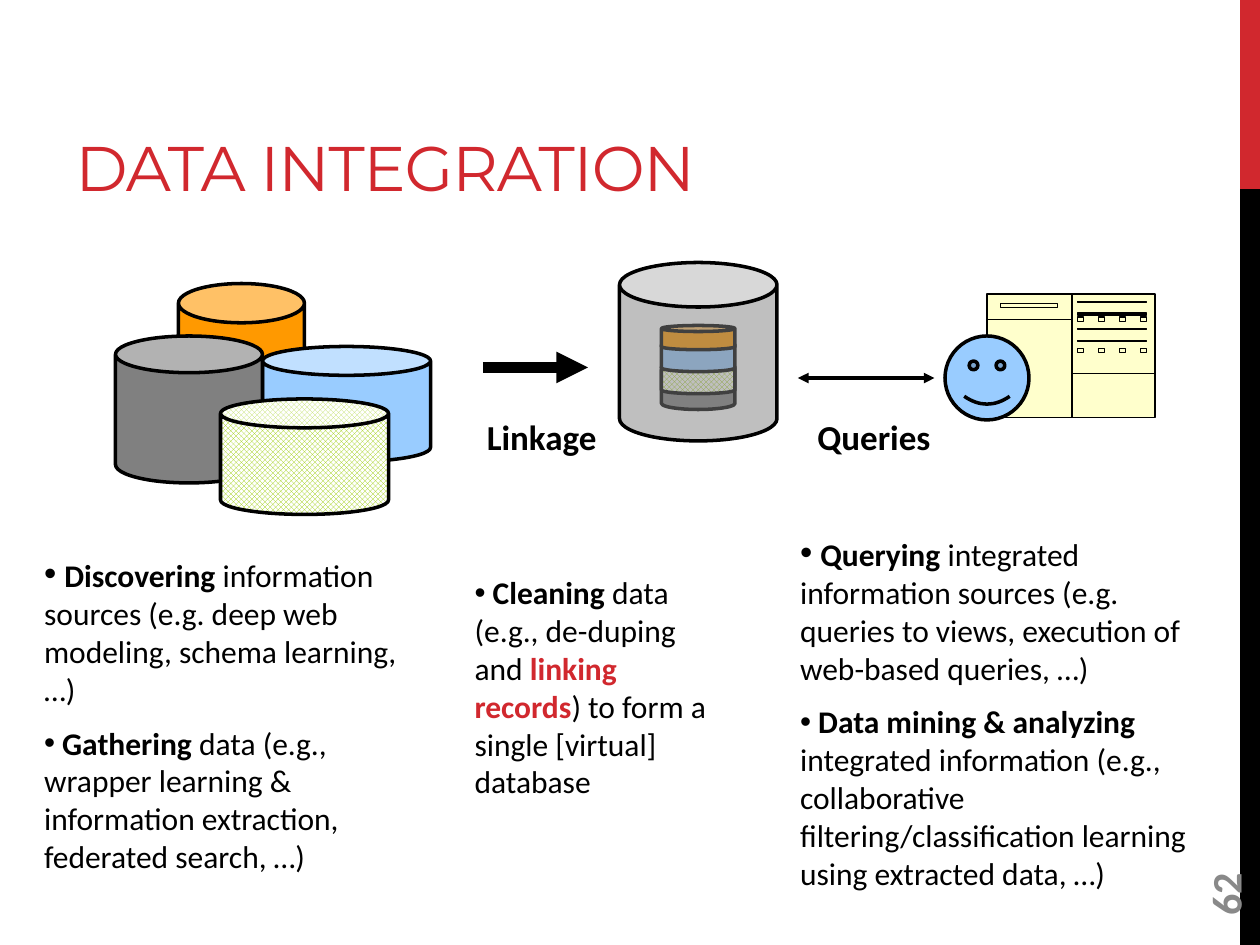
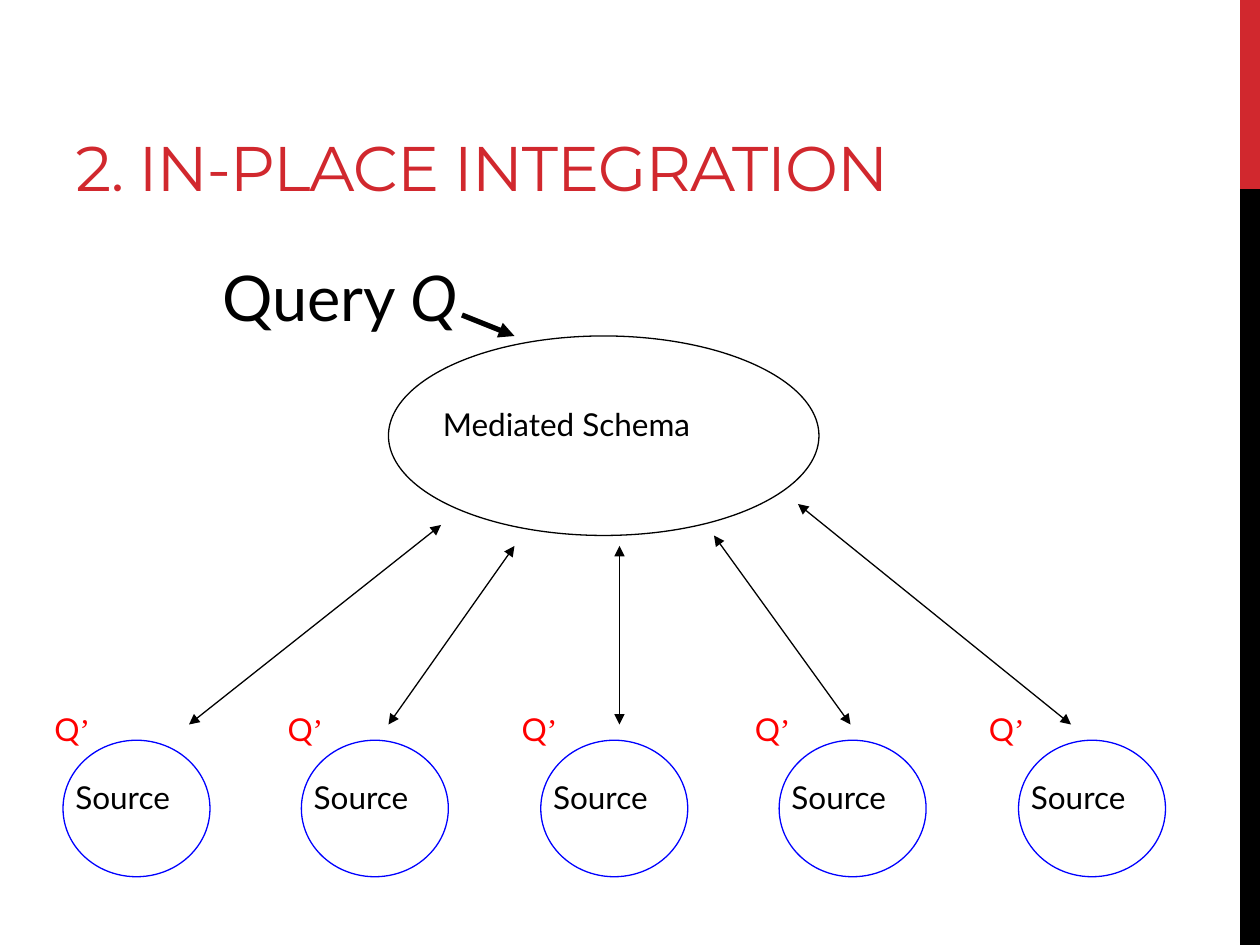
from dataclasses import dataclass

from lxml.etree import SubElement
from pptx import Presentation
from pptx.dml.color import RGBColor
from pptx.enum.dml import MSO_PATTERN
from pptx.enum.shapes import MSO_CONNECTOR, MSO_SHAPE
from pptx.enum.text import MSO_ANCHOR, MSO_AUTO_SIZE, PP_ALIGN
from pptx.oxml.ns import qn
from pptx.util import Pt

PX = 7620


@dataclass(frozen=True)
class Theme:
    red: str = "D1282E"
    black: str = "000000"
    white: str = "FFFFFF"
    gray: str = "808080"
    number_gray: str = "898989"
    orange: str = "FF9900"
    sky: str = "99CCFF"
    lime: str = "99CC00"
    cream: str = "FFFFCC"
    source_blue: str = "0000FF"
    query_red: str = "FF0000"
    title_font: str = "Montserrat"
    list_font: str = "Calibri"
    diagram_font: str = "Lato"
    prime_font: str = "Times New Roman"
    title_size: int = 36
    number_size: int = 24
    label_size: int = 20
    body_size: int = 18
    thin: float = 0.75
    medium: float = 2
    heavy: float = 3
    block: float = 6


T = Theme()
LEAD = dict(size=T.label_size)
BOLD = dict(bold=True)
ACCENT = dict(bold=True, color=T.red)

SOURCE_LIST = [
    [(" ", LEAD), ("Discovering", BOLD),
     (" information sources (e.g. deep web modeling, schema learning, …)", {})],
    [(" ", {}), ("Gathering", BOLD),
     (" data (e.g., wrapper learning & information extraction, federated search, …)", {})],
]
CLEANING_LIST = [
    [(" ", {}), ("Cleaning", BOLD), (" data (e.g., de-duping and ", {}),
     ("linking records", ACCENT), (") to form a single [virtual] database", {})],
]
QUERY_LIST = [
    [(" ", LEAD), ("Querying", BOLD),
     (" integrated information sources (e.g. queries to views, execution of web-based queries, …)", {})],
    [(" ", {}), ("Data mining & analyzing ", BOLD),
     ("integrated information (e.g., collaborative filtering/classification learning "
      "using extracted data, …)", {})],
]


def rgb(color):
    return RGBColor.from_string(color)


def box(*lengths):
    return [round(n * PX) for n in lengths]


def place(sp, *bounds):
    sp.left, sp.top, sp.width, sp.height = box(*bounds)


def format_run(r, font=T.list_font, size=T.body_size, color=T.black, bold=False, italic=False):
    f = r.font
    f.name, f.size, f.bold, f.italic = font, Pt(size), bold, italic
    f.color.rgb = rgb(color)


def add_runs(p, runs):
    for text, style in runs:
        r = p.add_run()
        r.text = text
        format_run(r, **style)


def add_title(slide, text, width):
    sp = slide.shapes.title
    place(sp, 60, 20, width, 180)
    tf = sp.text_frame
    tf.text = text
    tf.auto_size = MSO_AUTO_SIZE.NONE
    tf.vertical_anchor = MSO_ANCHOR.BOTTOM
    p = tf.paragraphs[0]
    p.alignment = PP_ALIGN.LEFT
    r = p.runs[0]
    format_run(r, T.title_font, T.title_size, T.red)
    r.font._element.set("spc", "-60")


def add_list(sp, bounds, items):
    place(sp, *bounds)
    tf = sp.text_frame
    tf.auto_size = MSO_AUTO_SIZE.NONE
    tf.vertical_anchor = MSO_ANCHOR.TOP
    for i, runs in enumerate(items):
        p = tf.add_paragraph() if i else tf.paragraphs[0]
        pPr = p._p.get_or_add_pPr()
        pPr.set("marL", "0")
        pPr.set("indent", "0")
        SubElement(pPr, qn("a:buChar")).set("char", "•")
        p.space_before = Pt(9 if i else 0)
        add_runs(p, runs)


def add_text(slide, bounds, *runs, align=PP_ALIGN.LEFT):
    sp = slide.shapes.add_textbox(*box(*bounds))
    tf = sp.text_frame
    tf.word_wrap = True
    tf.paragraphs[0].alignment = align
    add_runs(tf.paragraphs[0], runs)
    return sp


def set_line(line, color, width):
    line.color.rgb = rgb(color)
    line.width = Pt(width)


def add_figure(slide, kind, bounds, fill=None, line=T.black, width=T.medium, adj=None):
    sp = slide.shapes.add_shape(kind, *box(*bounds))
    sp.shadow.inherit = False
    if fill:
        sp.fill.solid()
        sp.fill.fore_color.rgb = rgb(fill)
    else:
        sp.fill.background()
    if line:
        set_line(sp.line, line, width)
    else:
        sp.line.fill.background()
    if adj is not None:
        sp.adjustments[0] = adj
    return sp


def add_can(slide, bounds, fill, adj=0.25):
    return add_figure(slide, MSO_SHAPE.CAN, bounds, fill, adj=adj)


def add_trellis_can(slide, bounds):
    fill = add_can(slide, bounds, T.white).fill
    fill.patterned()
    fill.pattern = MSO_PATTERN.TRELLIS
    fill.fore_color.rgb = rgb(T.lime)
    fill.back_color.rgb = rgb(T.white)


def add_arrow(slide, start, end, width=T.thin, ends=("head", "tail")):
    c = slide.shapes.add_connector(MSO_CONNECTOR.STRAIGHT, *box(*start, *end))
    set_line(c.line, T.black, width)
    spPr = c.element.spPr
    for name in ends:
        SubElement(spPr.find(qn("a:ln")), qn(f"a:{name}End")).set("type", "triangle")
    SubElement(spPr, qn("a:effectLst"))


def add_master_bands(prs, slide):
    tree = prs.slide_master.shapes.element
    for top, height, color in ((0, 180, T.red), (180, 720, T.black)):
        band = add_figure(slide, MSO_SHAPE.RECTANGLE, (1181, top, 19, height), color, None)
        tree.insert(2, band.element)


def outline(left, top, width, height):
    right, bottom = left + width, top + height
    return [(left, top), (right, top), (right, bottom), (left, bottom), (left, top)]


def add_query_window(slide):
    add_figure(slide, MSO_SHAPE.RECTANGLE, (940, 280, 160, 118), T.cream, width=T.thin)
    details = [[(940, 304), (1021, 304)], [(1021, 280), (1021, 398)],
               [(1021, 356), (1100, 356)], outline(953, 289, 54, 4)]
    details += [outline(1026, y, 66, h) for y, h in ((287, 1), (298, 2), (313, 1), (324, 1))]
    details += [outline(x, y, 6, 4) for y in (302, 332) for x in range(1026, 1087, 20)]
    builder = slide.shapes.build_freeform(*details[0][0], scale=PX)
    for points in details:
        builder.move_to(*points[0])
        builder.add_line_segments(points[1:], close=False)
    sp = builder.convert_to_shape()
    sp.shadow.inherit = False
    sp.fill.background()
    set_line(sp.line, T.black, T.thin)


def add_step_label(slide, bounds, text):
    add_text(slide, bounds, (text, dict(size=T.label_size, bold=True)), align=PP_ALIGN.RIGHT)


def add_slide_number(slide, number):
    sp = add_text(slide, (1080, 773, 173, 48),
                  (number, dict(size=T.number_size, color=T.number_gray, bold=True)))
    sp.rotation = 270
    sp.text_frame.vertical_anchor = MSO_ANCHOR.MIDDLE


def build_data_integration(slide):
    add_title(slide, "DATA INTEGRATION", 760)
    add_slide_number(slide, "62")
    sources, cleaning, queries, spare = list(slide.placeholders)[1:5]
    add_list(sources, (30, 520, 380, 323), SOURCE_LIST)
    add_list(cleaning, (440, 540, 250, 228), CLEANING_LIST)
    add_list(queries, (750, 500, 420, 359), QUERY_LIST)
    spare.element.getparent().remove(spare.element)

    add_can(slide, (170, 270, 120, 150), T.orange, 0.312)
    add_can(slide, (250, 330, 160, 110), T.sky)
    add_can(slide, (110, 320, 140, 140), T.gray)
    add_trellis_can(slide, (210, 380, 160, 110))

    add_query_window(slide)
    add_figure(slide, MSO_SHAPE.SMILEY_FACE, (900, 320, 80, 80), T.sky, adj=0.047)
    add_step_label(slide, (750, 390, 148, 52), "Queries")
    add_arrow(slide, (890, 360), (760, 360), T.medium)

    add_can(slide, (630, 346, 70, 44), T.gray, 0.266)
    add_trellis_can(slide, (630, 346, 70, 29))
    add_can(slide, (630, 325, 70, 29), T.sky)
    add_can(slide, (630, 310, 70, 23), T.orange)
    warehouse = add_can(slide, (590, 250, 150, 170), T.gray, 0.283)
    color = warehouse.element.spPr.find(qn("a:solidFill"))[0]
    SubElement(color, qn("a:alpha")).set("val", "50000")
    add_arrow(slide, (460, 350), (560, 350), T.block, ("tail",))
    add_step_label(slide, (430, 390, 150, 52), "Linkage")


def build_in_place_integration(slide):
    add_title(slide, "2. IN-PLACE INTEGRATION", 1015)
    label = dict(font=T.diagram_font)
    query = dict(font=T.diagram_font, size=T.title_size)
    prime = dict(font=T.prime_font, color=T.query_red)

    add_figure(slide, MSO_SHAPE.OVAL, (370, 320, 410, 190), width=T.thin)
    add_text(slide, (410, 380, 336, 60), ("Mediated Schema", label))
    add_text(slide, (200, 240, 427, 85), ("Query ", query), ("Q", dict(query, italic=True)))
    add_arrow(slide, (440, 300), (490, 320), T.heavy, ("tail",))

    arrows = [(180, 420, 500), (370, 490, 520), (590, 590, 520), (810, 680, 510), (1020, 760, 480)]
    for i, (source_x, schema_x, schema_y) in enumerate(arrows):
        left = 60 + i * 910 // 4
        add_figure(slide, MSO_SHAPE.OVAL, (left, 705, 140, 130), line=T.source_blue, width=T.thin)
        add_text(slide, (left, 735, 144, 108), ("Source", label))
        add_text(slide, (40 + i * 890 // 4, 670, 66, 60),
                 ("Q", dict(label, color=T.query_red)), ("’", prime))
        add_arrow(slide, (source_x, 690), (schema_x, schema_y))


def main():
    prs = Presentation()
    prs.slide_width, prs.slide_height = box(1200, 900)
    comparison, title_only = prs.slide_layouts[4], prs.slide_layouts[5]
    slide = prs.slides.add_slide(comparison)
    add_master_bands(prs, slide)
    build_data_integration(slide)
    build_in_place_integration(prs.slides.add_slide(title_only))
    prs.save("out.pptx")


if __name__ == "__main__":
    main()
